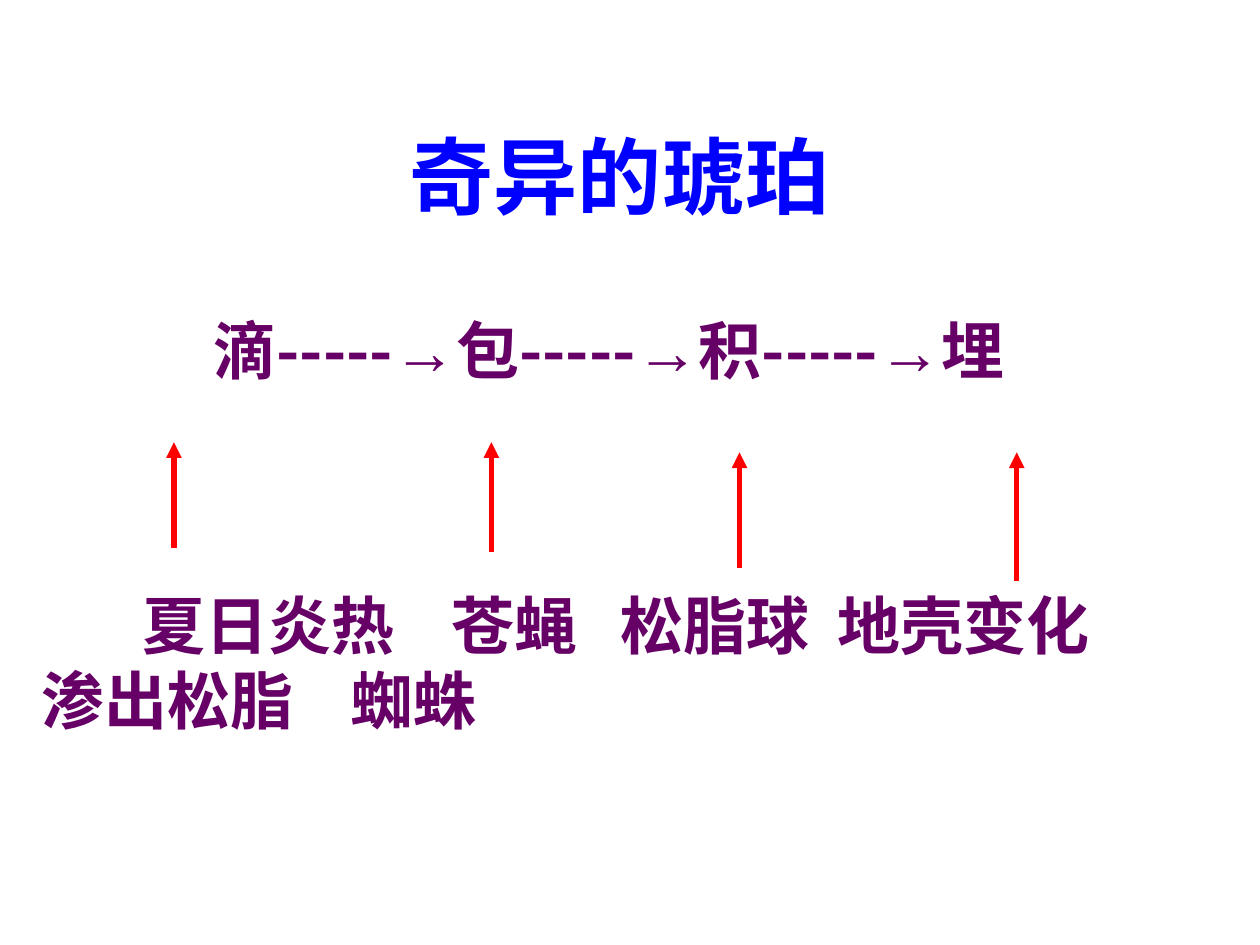
from lxml import etree
from pptx import Presentation
from pptx.dml.color import RGBColor
from pptx.enum.shapes import MSO_CONNECTOR
from pptx.enum.text import MSO_ANCHOR, PP_ALIGN
from pptx.oxml.ns import qn
from pptx.util import Pt

STRAIGHT = MSO_CONNECTOR.STRAIGHT
LEFT, CENTER = PP_ALIGN.LEFT, PP_ALIGN.CENTER
TOP, MIDDLE = MSO_ANCHOR.TOP, MSO_ANCHOR.MIDDLE

BLUE, PURPLE, RED = "0000FF", "660066", "FF0000"
CJK_FONT = "Noto Sans CJK SC"


def color(hex_string):
    return RGBColor.from_string(hex_string)


class SlideBuilder:
    def __init__(self, slide):
        self.s = slide

    def text_box(self, left, top, width, height, anchor=TOP):
        tf = self.s.shapes.add_textbox(Pt(left), Pt(top), Pt(width), Pt(height)).text_frame
        tf.word_wrap = True
        tf.vertical_anchor = anchor
        tf.margin_left = tf.margin_right = tf.margin_top = tf.margin_bottom = 0
        return tf

    def paragraph(self, p, runs, size, hex_color, align=LEFT, tabs=()):
        """Fill p with (text, latin font) runs and set left tab stops in points."""
        p.alignment = align
        if tabs:
            tab_list = etree.SubElement(p._p.get_or_add_pPr(), qn("a:tabLst"))
            for pos in tabs:
                etree.SubElement(tab_list, qn("a:tab"), pos=str(Pt(pos)), algn="l")
        p.font.size = Pt(size)
        p.font.bold = True
        p.font.color.rgb = color(hex_color)
        for text, font in runs:
            r = p.add_run()
            r.text = text
            r.font.name = font
            etree.SubElement(r._r.get_or_add_rPr(), qn("a:ea"), typeface=CJK_FONT)

    def up_arrow(self, x, bottom, top):
        line = self.s.shapes.add_connector(STRAIGHT, Pt(x), Pt(bottom), Pt(x), Pt(top))
        line.line.color.rgb = color(RED)
        line.line.width = Pt(3)
        etree.SubElement(line.line._get_or_add_ln(), qn("a:tailEnd"), type="triangle")
        etree.SubElement(line._element.spPr, qn("a:effectLst"))


def main():
    prs = Presentation()
    prs.slide_width, prs.slide_height = Pt(720), Pt(540)
    b = SlideBuilder(prs.slides.add_slide(prs.slide_layouts[6]))

    title = b.text_box(48, 43, 612, 114, MIDDLE)
    b.paragraph(title.paragraphs[0], [("奇异的琥珀", "Times New Roman")], 48, BLUE, CENTER)

    steps = ["滴-----", "包-----", "积-----", "埋"]
    runs = [(steps[0], CJK_FONT)]
    for step in steps[1:]:
        runs += [("→", "Arial"), (step, CJK_FONT)]
    chain = b.text_box(0, 178.3, 696, 53)
    b.paragraph(chain.paragraphs[0], runs, 36, PURPLE, CENTER)

    causes = b.text_box(23.5, 334.9, 672, 105)
    b.paragraph(causes.paragraphs[0], [("\t夏日炎热\t苍蝇\t松脂球\t地壳变化", CJK_FONT)],
                36, PURPLE, tabs=(58, 234.5, 331, 455))
    b.paragraph(causes.add_paragraph(), [("渗出松脂\t蜘蛛", CJK_FONT)],
                36, PURPLE, tabs=(177,))

    for x, bottom, top in [(99.4, 313, 252.7), (280.8, 315.4, 252.7),
                           (422.6, 324.7, 258.5), (581, 332, 258.5)]:
        b.up_arrow(x, bottom, top)

    prs.save("out.pptx")


if __name__ == "__main__":
    main()
